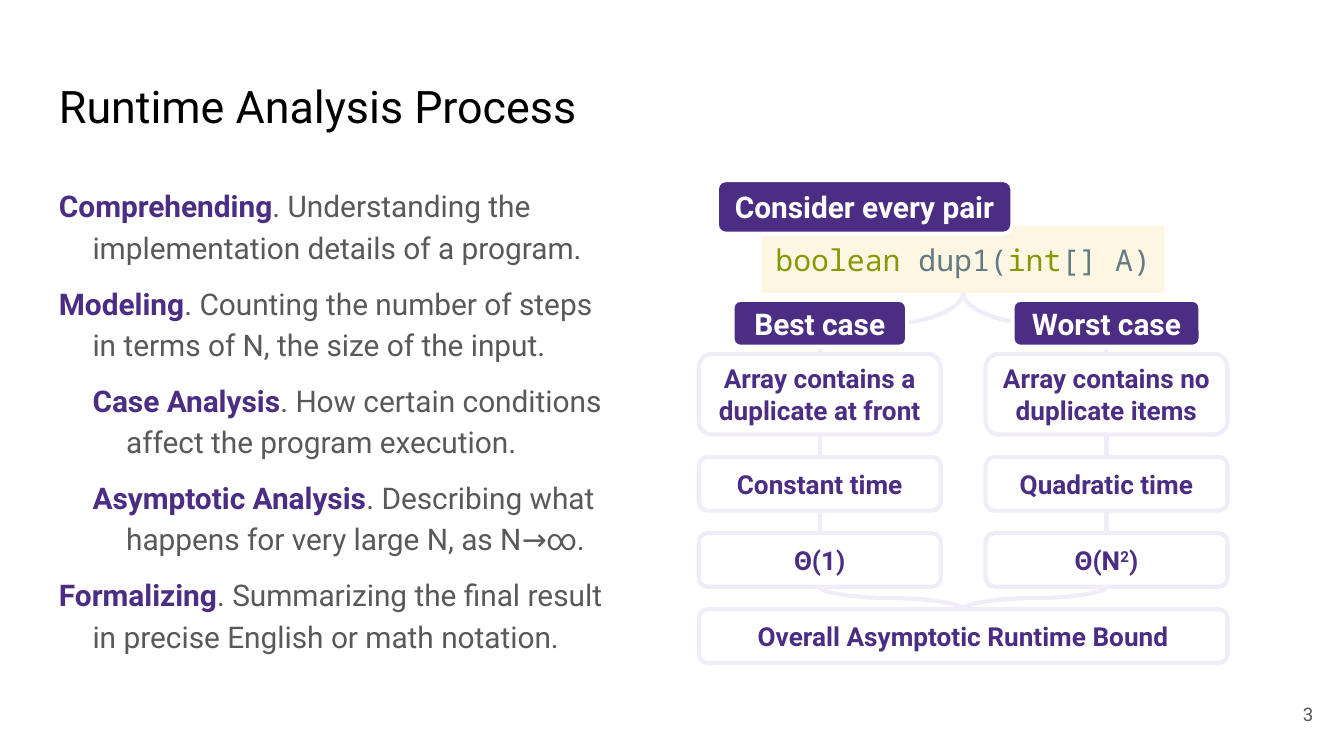
from lxml.etree import SubElement
from pptx import Presentation
from pptx.dml.color import RGBColor
from pptx.enum.shapes import MSO_CONNECTOR as Link, MSO_SHAPE as Shape
from pptx.enum.text import MSO_ANCHOR as Anchor, PP_ALIGN as Align
from pptx.oxml.ns import qn
from pptx.util import Pt

PURPLE, LAVENDER, WHITE, GRAY = "4B2E83", "F0ECF8", "FFFFFF", "595959"
CREAM, KEYWORD, CODE = "FDF6E3", "859900", "657B83"
SANS, MONO = "Roboto", "Noto Sans Mono"
PADDING = Pt(7.2)

STEPS = [
    (0, "Comprehending", ". Understanding the implementation details of a program."),
    (0, "Modeling", ". Counting the number of steps in terms of N, the size of the input."),
    (1, "Case Analysis", ". How certain conditions affect the program execution."),
    (1, "Asymptotic Analysis", ". Describing what happens for very large N, as N→∞."),
    (0, "Formalizing", ". Summarizing the final result in precise English or math notation."),
]
CASES = [
    ("Best case", 93.6, ["Array contains a duplicate at front", "Constant time", "Θ(1)"]),
    ("Worst case", 100.8, ["Array contains no duplicate items", "Quadratic time", "Θ(N^2)"]),
]
ROW_HEIGHTS = [43.2, 28.8, 28.8]
ROW_GAP = 12
COLUMN_WIDTH = 129.6


def color(value):
    return RGBColor.from_string(value)


def add_span(para, text, size, hue, bold=False, font=SANS):
    span = para.add_run()
    span.text = text
    span.font.size = Pt(size)
    span.font.name = font
    span.font.bold = bold
    span.font.color.rgb = color(hue)
    return span


def prepare_frame(shape, anchor=Anchor.MIDDLE):
    frame = shape.text_frame
    frame.word_wrap = True
    frame.vertical_anchor = anchor
    frame.margin_left = frame.margin_right = PADDING
    frame.margin_top = frame.margin_bottom = PADDING
    return frame


def add_text(page, left, top, width, height, text, size, hue,
             align=Align.LEFT, anchor=Anchor.TOP):
    box = page.shapes.add_textbox(Pt(left), Pt(top), Pt(width), Pt(height))
    para = prepare_frame(box, anchor).paragraphs[0]
    para.alignment = align
    add_span(para, text, size, hue)


def add_steps(page, left, top, width, height):
    box = page.shapes.add_textbox(Pt(left), Pt(top), Pt(width), Pt(height))
    frame = prepare_frame(box, Anchor.TOP)
    for index, (level, term, meaning) in enumerate(STEPS):
        para = frame.add_paragraph() if index else frame.paragraphs[0]
        properties = para._p.get_or_add_pPr()
        properties.set("marL", str(Pt(18 * (level + 1))))
        properties.set("indent", str(-Pt(18)))
        para.line_spacing = 1.15
        if index:
            para.space_before = Pt(8)
        add_span(para, term, 16, PURPLE, True)
        add_span(para, meaning, 16, GRAY)


def add_panel(page, kind, left, top, width, height, fill, outline=None):
    panel = page.shapes.add_shape(kind, Pt(left), Pt(top), Pt(width), Pt(height))
    panel.shadow.inherit = False
    panel.fill.solid()
    panel.fill.fore_color.rgb = color(fill)
    if outline:
        panel.line.color.rgb = color(outline)
        panel.line.width = Pt(2.25)
    else:
        panel.line.fill.background()
    para = prepare_frame(panel).paragraphs[0]
    para.alignment = Align.CENTER
    return panel, para


def add_label(page, left, top, width, height, text):
    para = add_panel(page, Shape.ROUNDED_RECTANGLE, left, top, width, height, PURPLE, WHITE)[1]
    add_span(para, text, 16, WHITE, True)


def add_card(page, left, top, width, height, text):
    card, para = add_panel(page, Shape.ROUNDED_RECTANGLE, left, top, width, height, WHITE, LAVENDER)
    base, caret, rest = text.partition("^")
    add_span(para, base, 14, PURPLE, True)
    if caret:
        power = add_span(para, rest[0], 14, PURPLE, True)
        power.font._element.set("baseline", "30000")
        add_span(para, rest[1:], 14, PURPLE, True)
    return card


def add_link(page, kind, x1, y1, x2, y2):
    link = page.shapes.add_connector(kind, Pt(x1), Pt(y1), Pt(x2), Pt(y2))
    link.line.color.rgb = color(LAVENDER)
    link.line.width = Pt(2.25)
    SubElement(link.element.spPr, qn("a:effectLst"))
    return link


def add_falling_curve(page, x1, y1, x2, y2):
    middle_x, middle_y = (x1 + x2) / 2, (y1 + y2) / 2
    drop, run = (y2 - y1) / 2, (x2 - x1) / 2
    curve = add_link(page, Link.CURVE, middle_x - drop, middle_y + run,
                     middle_x + drop, middle_y - run)
    curve.element.spPr.find(qn("a:xfrm")).set("rot", str(90 * 60000))


def add_case(page, left, top, width, name, label_width, texts):
    above = None
    row_top = top
    for text, height in zip(texts, ROW_HEIGHTS):
        card = add_card(page, left, row_top, width, height, text)
        if above:
            link = add_link(page, Link.STRAIGHT, 0, 0, 0, 0)
            link.begin_connect(above, 2)
            link.end_connect(card, 0)
        above = card
        row_top += height + ROW_GAP
    add_label(page, left + (width - label_width) / 2, top - 29, label_width, 25.2, name)


def add_diagram(page, left, top, width):
    center = left + width / 2
    code_top, code_width, code_height = top + 24.5, 216, 36
    code_bottom = code_top + code_height
    cases_top = top + 93.1
    cases_bottom = cases_top + sum(ROW_HEIGHTS) + ROW_GAP * (len(ROW_HEIGHTS) - 1)
    result_top = cases_bottom + ROW_GAP
    columns = [left, left + width - COLUMN_WIDTH]

    for column in columns:
        middle = column + COLUMN_WIDTH / 2
        add_falling_curve(page, center, code_bottom, middle, cases_top)
        add_falling_curve(page, middle, cases_bottom, center, result_top)

    para = add_panel(page, Shape.RECTANGLE, center - code_width / 2, code_top,
                     code_width, code_height, CREAM)[1]
    for text, hue in [("boolean", KEYWORD), (" dup1(", CODE), ("int", KEYWORD), ("[] A)", CODE)]:
        add_span(para, text, 16, hue, font=MONO)
    add_label(page, left + 9.6, top, 158.4, 28.8, "Consider every pair")

    for column, case in zip(columns, CASES):
        add_case(page, column, cases_top, COLUMN_WIDTH, *case)
    add_card(page, left, result_top, width, 28.8, "Overall Asymptotic Runtime Bound")


def main():
    deck = Presentation()
    deck.slide_width, deck.slide_height = Pt(720), Pt(405)
    page = deck.slides.add_slide(deck.slide_layouts[6])
    add_text(page, 24.5, 35, 311, 45.4, "Runtime Analysis Process", 24, "000000")
    add_steps(page, 24.5, 90.7, 311, 269.3)
    add_diagram(page, 374.4, 96.5, 283.2)
    add_text(page, 667.4, 367.2, 43.2, 31, "3", 10, GRAY, Align.RIGHT, Anchor.MIDDLE)
    deck.save("out.pptx")


if __name__ == "__main__":
    main()
